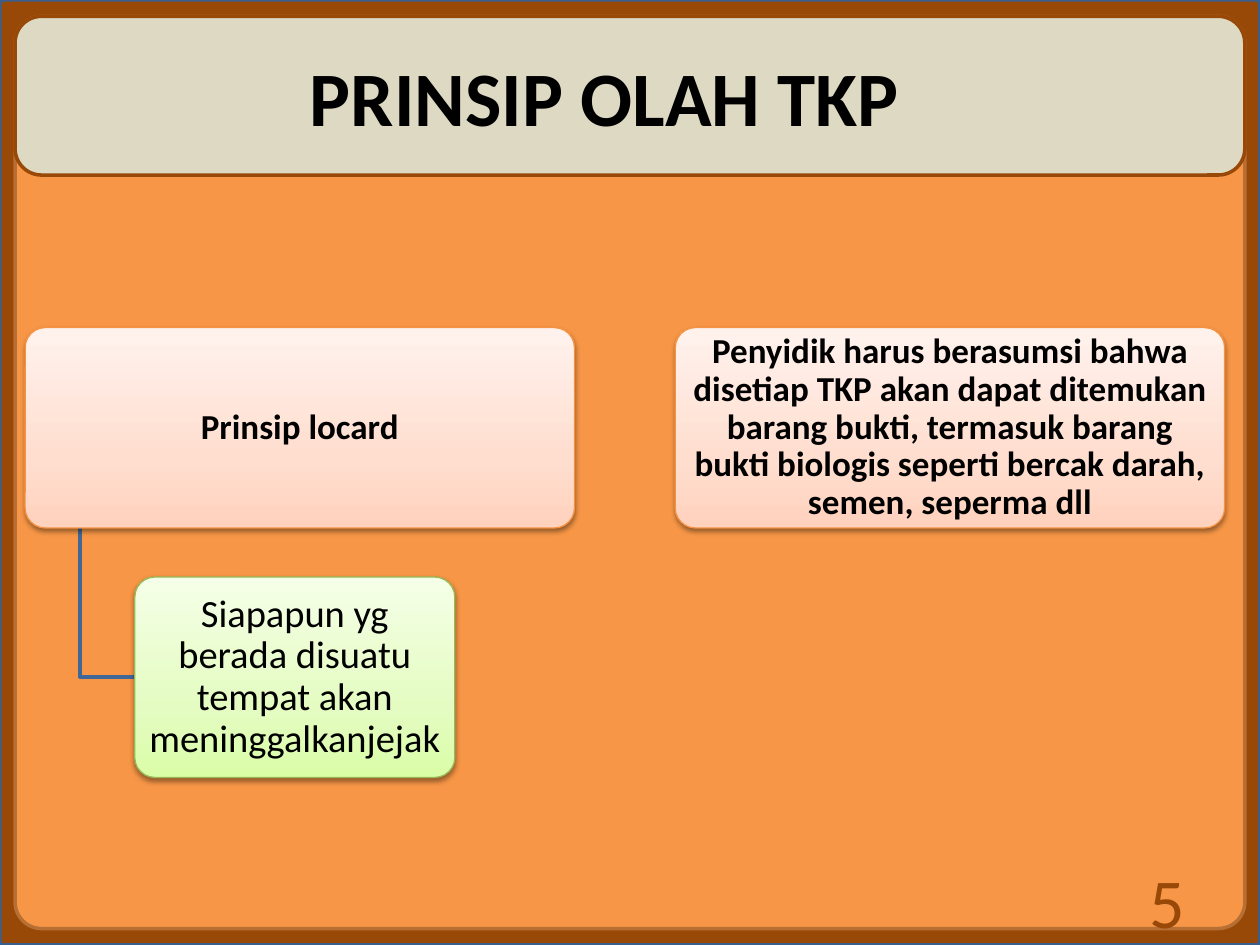
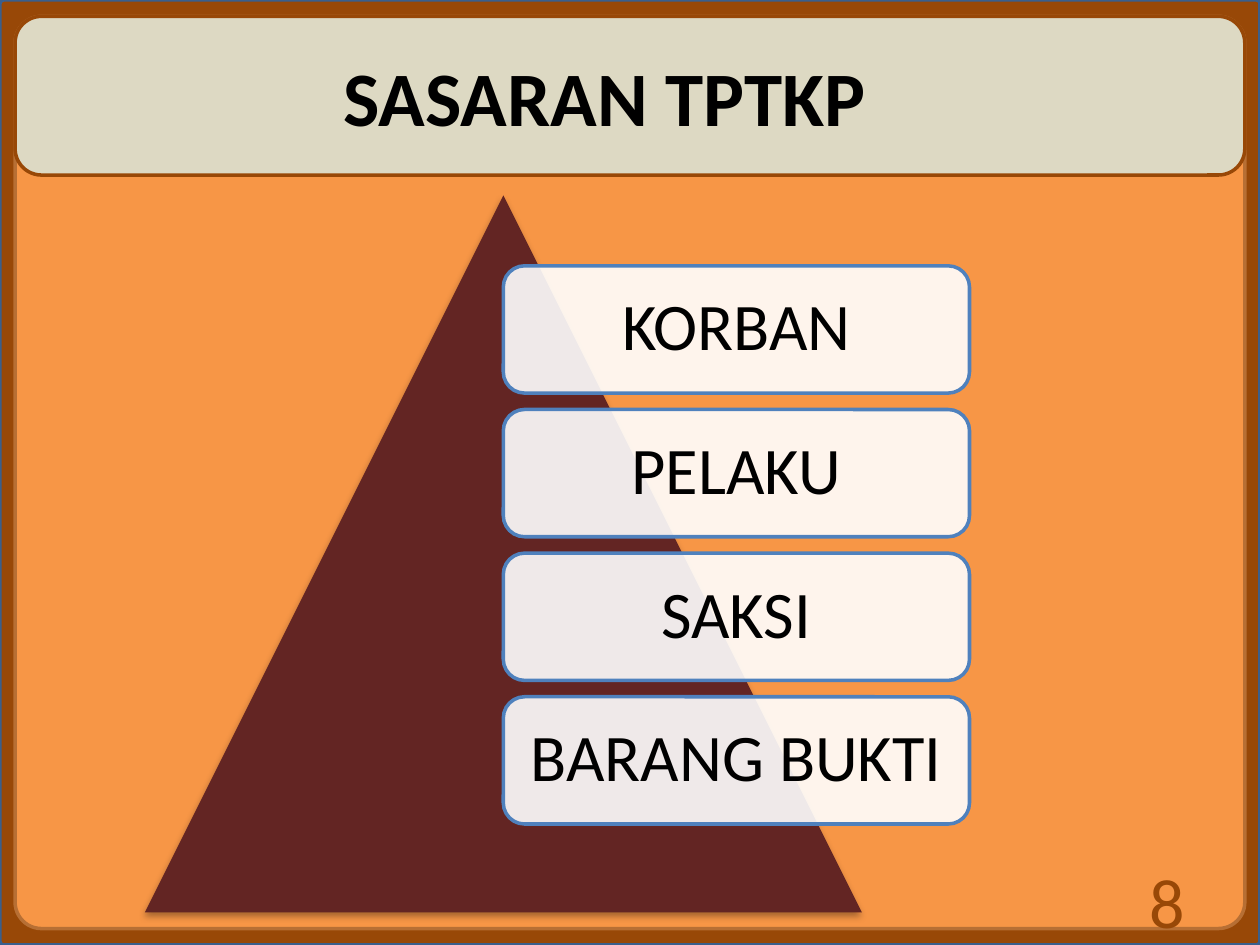
from dataclasses import dataclass

from lxml.etree import SubElement
from pptx import Presentation
from pptx.dml.color import RGBColor
from pptx.enum.shapes import MSO_SHAPE as Shape
from pptx.enum.text import MSO_ANCHOR as Anchor, PP_ALIGN as Align
from pptx.oxml.ns import qn
from pptx.util import Inches, Pt


@dataclass(frozen=True)
class Theme:
    """Colours, font and type sizes of the slides."""
    font: str = "Calibri"
    text: str = "000000"
    border: str = "984807"
    border_line: str = "3A5F8C"
    panel: str = "F79646"
    panel_line: str = "B76F34"
    band: str = "DDD9C3"
    peach: tuple = ((0, "FFD2BD"), (35, "FFDED0"), (100, "FFF2ED"))
    peach_line: str = "F69240"
    lime: tuple = ((0, "DAFDA7"), (35, "E4FCC2"), (100, "F5FFE7"))
    lime_line: str = "98B955"
    elbow: str = "3F6797"
    pyramid: str = "632523"
    bar: str = "FFFFFF"
    bar_line: str = "4F81BD"
    title_size: int = 44
    number_size: int = 40
    bar_size: int = 38
    detail_size: int = 22
    principle_size: int = 20


@dataclass(frozen=True)
class Box:
    """A rectangle measured in inches."""
    left: float
    top: float
    width: float
    height: float

    def lengths(self):
        """Return the four lengths for python-pptx."""
        return [Inches(n) for n in (self.left, self.top, self.width, self.height)]

    def inside(self, left, top, width, height):
        """Return a box placed relative to this one."""
        return Box(self.left + left, self.top + top, width, height)


THEME = Theme()
PAGE = Box(0, 0, 10, 7.5)
PANEL = Box(0.12, 0.13, 9.76, 7.24)


def color(value):
    """Turn a hex value into a colour."""
    return RGBColor.from_string(value)


def set_line(shape, value, width):
    """Give a shape a solid outline."""
    shape.line.color.rgb = color(value)
    shape.line.width = Pt(width)


def add_shape(slide, kind, box, fill=None, line=None, width=2, corner=None):
    """Add a preset shape without the default shadow."""
    shape = slide.shapes.add_shape(kind, *box.lengths())
    shape.shadow.inherit = False
    if corner is not None:
        shape.adjustments[0] = corner
    if fill:
        shape.fill.solid()
        shape.fill.fore_color.rgb = color(fill)
    if line:
        set_line(shape, line, width)
    else:
        shape.line.fill.background()
    return shape


def add_color(parent, value, alpha=None):
    """Add a colour element with an optional opacity in percent."""
    element = SubElement(parent, qn("a:srgbClr"), val=value)
    if alpha is not None:
        SubElement(element, qn("a:alpha"), val=str(alpha * 1000))


def set_gradient(shape, stops):
    """Fill a shape with a gradient that rises from the bottom."""
    shape.fill.gradient()
    shape.fill.gradient_angle = 90
    stop_list = shape.element.spPr.find(".//" + qn("a:gsLst"))
    stop_list.clear()
    for position, value in stops:
        add_color(SubElement(stop_list, qn("a:gs"), pos=str(position * 1000)), value)


def set_shadow(shape, alpha, blur, distance):
    """Cast a soft black shadow straight down."""
    effects = shape.element.spPr.find(qn("a:effectLst"))
    shadow = SubElement(effects, qn("a:outerShdw"), blurRad=str(Pt(blur)),
                        dist=str(Pt(distance)), dir="5400000", rotWithShape="0")
    add_color(shadow, "000000", alpha)


def write_text(shape, text, size, value=THEME.text, bold=False, align=Align.CENTER,
               inset=None, spacing=None):
    """Write one paragraph, centred vertically, into a shape."""
    frame = shape.text_frame
    frame.word_wrap = True
    frame.vertical_anchor = Anchor.MIDDLE
    if inset:
        frame.margin_left = frame.margin_right = Inches(inset[0])
        frame.margin_top = frame.margin_bottom = Inches(inset[1])
    paragraph = frame.paragraphs[0]
    paragraph.alignment = align
    paragraph.line_spacing = spacing
    run = paragraph.add_run()
    run.text = text
    run.font.name = THEME.font
    run.font.size = Pt(size)
    run.font.bold = bold
    run.font.color.rgb = color(value)


def add_frame(slide, title, number):
    """Draw the border, panel, title band and slide number."""
    band = Box(PANEL.left, PANEL.top, PANEL.width, 1.26)
    add_shape(slide, Shape.ROUNDED_RECTANGLE, PAGE, THEME.border, THEME.border_line, corner=0.004)
    add_shape(slide, Shape.ROUNDED_RECTANGLE, PANEL, THEME.panel, THEME.panel_line, corner=0.029)
    add_shape(slide, Shape.ROUNDED_RECTANGLE, band, THEME.band, THEME.border)
    title_box = slide.shapes.add_textbox(*band.inside(0.86, 0, 7.64, band.height).lengths())
    write_text(title_box, title, THEME.title_size, bold=True)
    number_box = slide.shapes.add_textbox(*PANEL.inside(7.05, 6.82, 2.33, 0.4).lengths())
    write_text(number_box, number, THEME.number_size, THEME.border, align=Align.RIGHT)


def add_card(slide, box, text, size, stops, line, bold=False):
    """Draw a rounded gradient card with its text."""
    card = add_shape(slide, Shape.ROUNDED_RECTANGLE, box, line=line, width=0.75, corner=0.1)
    set_gradient(card, stops)
    set_shadow(card, 38, 3.1, 1.6)
    write_text(card, text, size, bold=bold, inset=(0.04, 0.03), spacing=0.9)


def add_elbow(slide, parent, child):
    """Draw the bent line from a card down to its detail card."""
    x = Inches(parent.left + parent.width / 10)
    y = Inches(child.top + child.height / 2)
    builder = slide.shapes.build_freeform(x, Inches(parent.top + parent.height))
    builder.add_line_segments([(x, y), (Inches(child.left), y)], close=False)
    elbow = builder.convert_to_shape()
    elbow.shadow.inherit = False
    elbow.fill.background()
    set_line(elbow, THEME.elbow, 2)


def add_principles(slide, box, principles, detail):
    """Place the principle cards in a row with a detail under the first."""
    card_width, card_height, step = 4.36, 1.59, 5.16
    cards = [box.inside(i * step, 0, card_width, card_height) for i in range(len(principles))]
    detail_box = box.inside(0.87, 1.98, 2.54, card_height)
    add_elbow(slide, cards[0], detail_box)
    for card, text in zip(cards, principles):
        add_card(slide, card, text, THEME.principle_size, THEME.peach, THEME.peach_line, bold=True)
    add_card(slide, detail_box, detail, THEME.detail_size, THEME.lime, THEME.lime_line)


def add_pyramid(slide, box, targets):
    """Draw a triangle with a column of translucent bars from its axis."""
    triangle = add_shape(slide, Shape.ISOSCELES_TRIANGLE, box, THEME.pyramid)
    set_shadow(triangle, 32, 3.5, 2.2)
    for i, target in enumerate(targets):
        bar_box = box.inside(box.width / 2, 0.56 + 1.14 * i, 3.7, 1.01)
        bar = add_shape(slide, Shape.ROUNDED_RECTANGLE, bar_box, THEME.bar, THEME.bar_line)
        fill_color = bar.element.spPr.find(qn("a:solidFill")).find(qn("a:srgbClr"))
        SubElement(fill_color, qn("a:alpha"), val="90000")
        write_text(bar, target, THEME.bar_size, inset=(0.16, 0.16), spacing=0.9)


def main():
    """Build and save the presentation."""
    presentation = Presentation()
    presentation.slide_width = Inches(PAGE.width)
    presentation.slide_height = Inches(PAGE.height)
    blank = presentation.slide_layouts[6]

    slide = presentation.slides.add_slide(blank)
    add_frame(slide, "PRINSIP OLAH TKP", "5")
    add_principles(
        slide, Box(0.2, 2.6, 9.52, 3.57),
        ["Prinsip locard",
         "Penyidik harus berasumsi bahwa disetiap TKP akan dapat ditemukan barang bukti, "
         "termasuk barang bukti biologis seperti bercak darah, semen, seperma dll"],
        "Siapapun yg berada disuatu tempat akan meninggalkanjejak")

    slide = presentation.slides.add_slide(blank)
    add_frame(slide, "SASARAN TPTKP", "8")
    add_pyramid(slide, Box(1.15, 1.55, 5.69, 5.69),
                ["KORBAN", "PELAKU", "SAKSI", "BARANG BUKTI"])

    presentation.save("out.pptx")


if __name__ == "__main__":
    main()
